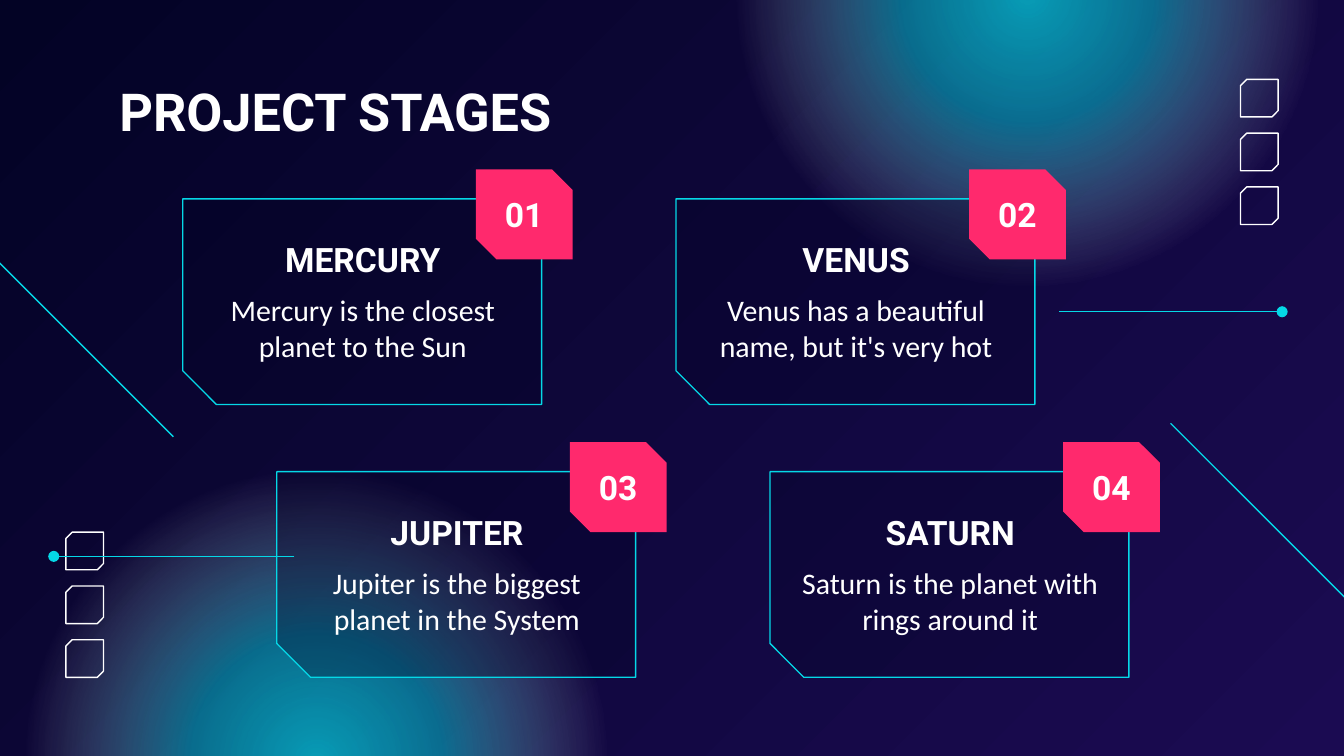
from typing import NamedTuple

from pptx import Presentation
from pptx.dml.color import RGBColor
from pptx.enum.shapes import MSO_CONNECTOR, MSO_SHAPE
from pptx.enum.text import MSO_ANCHOR, PP_ALIGN
from pptx.oxml import parse_xml
from pptx.oxml.ns import nsdecls, qn
from pptx.oxml.xmlchemy import OxmlElement
from pptx.util import Inches, Pt

COLORS = {
    "night": "030325",
    "violet": "1B0B52",
    "cyan": "05D8E7",
    "pink": "FF296D",
    "white": "FFFFFF",
}
HEADING_FONT, BODY_FONT = "Roboto", "Calibri"
LINE_WIDTH = Pt(0.75)


class Box(NamedTuple):
    left: float
    top: float
    width: float
    height: float

    def inside(self, left: float, top: float, width: float, height: float) -> "Box":
        """Return a box placed relative to this one's corner."""
        return Box(self.left + left, self.top + top, width, height)

    def emu(self) -> list:
        return [Inches(value) for value in self]


class Stage(NamedTuple):
    column: int
    row: int
    name: str
    description: str


class Line(NamedTuple):
    start: tuple[float, float]
    end: tuple[float, float]
    dot: bool = False


STAGES = [
    Stage(0, 0, "MERCURY", "Mercury is the closest planet to the Sun"),
    Stage(1, 0, "VENUS", "Venus has a beautiful name, but it's very hot"),
    Stage(0, 1, "JUPITER", "Jupiter is the biggest planet in the System"),
    Stage(1, 1, "SATURN", "Saturn is the planet with rings around it"),
]
LINES = [
    Line((10.03, 4.47), (8.71, 3.15)),
    Line((7.88, 2.32), (9.54, 2.32), dot=True),
    Line((-0.03, 1.93), (1.29, 3.25)),
    Line((2.19, 4.14), (0.4, 4.14), dot=True),
]
GLOWS = [Box(0.13, 3.44, 4.44, 4.44), Box(5.42, -2.26, 4.44, 4.44)]
SQUARE_COLUMNS = [(0.49, 3.96), (9.23, 0.59)]

# Stage grid: each row is shifted to the right of the one above
GRID_LEFT, GRID_TOP = 1.36, 1.48
COLUMN_STEP, ROW_STEP, ROW_SHIFT = 3.67, 2.03, 0.7
CARD_WIDTH, CARD_HEIGHT = 2.67, 1.53


def rgb(name: str) -> RGBColor:
    return RGBColor.from_string(COLORS[name])


def add_glow(slide, box: Box) -> None:
    shape = slide.shapes.add_shape(MSO_SHAPE.OVAL, *box.emu())
    shape.shadow.inherit = False
    shape.line.fill.background()
    shape.fill.gradient()
    stops = [(0, "cyan", 71), (30, "cyan", 48), (69, "white", 0), (100, "white", 0)]
    stops_xml = "".join(
        f'<a:gs pos="{position * 1000}"><a:srgbClr val="{COLORS[color]}">'
        f'<a:alpha val="{alpha * 1000}"/></a:srgbClr></a:gs>'
        for position, color, alpha in stops
    )
    properties = shape._element.spPr
    properties.replace(
        properties.find(qn("a:gradFill")),
        parse_xml(
            f'<a:gradFill {nsdecls("a")}><a:gsLst>{stops_xml}</a:gsLst>'
            '<a:path path="circle"><a:fillToRect l="50000" t="50000" r="50000" b="50000"/>'
            "</a:path></a:gradFill>"
        ),
    )


def add_snipped(slide, box: Box, snip: float, fill: str | None = None,
                line: str | None = None, alpha: int = 100, rotation: int = 0) -> None:
    shape = slide.shapes.add_shape(MSO_SHAPE.SNIP_2_DIAG_RECTANGLE, *box.emu())
    shape.shadow.inherit = False
    shape.adjustments[0] = 0
    shape.adjustments[1] = snip
    shape.rotation = rotation
    if fill:
        shape.fill.solid()
        shape.fill.fore_color.rgb = rgb(fill)
        if alpha < 100:
            transparency = OxmlElement("a:alpha")
            transparency.set("val", str(alpha * 1000))
            shape._element.spPr.find(".//" + qn("a:srgbClr")).append(transparency)
    else:
        shape.fill.background()
    if line:
        shape.line.color.rgb = rgb(line)
        shape.line.width = LINE_WIDTH
    else:
        shape.line.fill.background()


def add_text(slide, box: Box, text: str, size: int, font: str = HEADING_FONT,
             bold: bool = True, align=PP_ALIGN.CENTER, anchor=MSO_ANCHOR.MIDDLE,
             space_after: int = 0) -> None:
    frame = slide.shapes.add_textbox(*box.emu()).text_frame
    frame.word_wrap = True
    frame.vertical_anchor = anchor
    frame.margin_left = frame.margin_right = Inches(0.1)
    frame.margin_top = frame.margin_bottom = Inches(0.1)
    paragraph = frame.paragraphs[0]
    paragraph.alignment = align
    paragraph.space_after = Pt(space_after)
    run = paragraph.add_run()
    run.text = text
    run.font.name, run.font.size, run.font.bold = font, Pt(size), bold
    run.font.color.rgb = rgb("white")


def add_line(slide, line: Line) -> None:
    points = [Inches(value) for value in (*line.start, *line.end)]
    connector = slide.shapes.add_connector(MSO_CONNECTOR.STRAIGHT, *points)
    connector.line.color.rgb = rgb("cyan")
    connector.line.width = LINE_WIDTH
    if line.dot:
        dot = OxmlElement("a:tailEnd")
        dot.set("type", "oval")
        connector.line._get_or_add_ln().append(dot)
    connector._element.spPr.append(OxmlElement("a:effectLst"))


def add_stage(slide, number: int, stage: Stage) -> None:
    card = Box(GRID_LEFT + stage.column * COLUMN_STEP + stage.row * ROW_SHIFT,
               GRID_TOP + stage.row * ROW_STEP, CARD_WIDTH, CARD_HEIGHT)
    badge = card.inside(2.18, -0.22, 0.72, 0.67)
    add_snipped(slide, card, 0.164, fill="night", line="cyan", alpha=31)
    add_text(slide, card.inside(0.1, 0.2, 2.48, 0.5), stage.name, 18, space_after=12)
    add_text(slide, card.inside(0.1, 0.59, 2.48, 0.74), stage.description, 16,
             font=BODY_FONT, bold=False, anchor=MSO_ANCHOR.TOP, space_after=12)
    add_snipped(slide, badge, 0.23, fill="pink")
    add_text(slide, badge.inside(0.07, 0.07, 0.58, 0.53), f"{number:02}", 18)


def main() -> None:
    # A 16:9 slide, ten inches wide
    presentation = Presentation()
    presentation.slide_width = Inches(10)
    presentation.slide_height = presentation.slide_width * 9 // 16
    slide = presentation.slides.add_slide(presentation.slide_layouts[6])

    # Background gradient and glows
    background = slide.background.fill
    background.gradient()
    background.gradient_angle = 315
    for stop, color in zip(background.gradient_stops, ("night", "violet")):
        stop.color.rgb = rgb(color)
    for glow in GLOWS:
        add_glow(slide, glow)

    # Columns of small outlined squares
    for left, top in SQUARE_COLUMNS:
        for index in range(3):
            add_snipped(slide, Box(left, top + index * 0.4, 0.28, 0.28), 0.167,
                        line="white", rotation=90)

    # Title and stages
    add_text(slide, Box(0.79, 0.49, 7.85, 0.67), "PROJECT STAGES", 28,
             align=PP_ALIGN.LEFT, anchor=MSO_ANCHOR.TOP)
    for number, stage in enumerate(STAGES, start=1):
        add_stage(slide, number, stage)

    # Decorative lines
    for line in LINES:
        add_line(slide, line)

    presentation.save("out.pptx")


if __name__ == "__main__":
    main()
